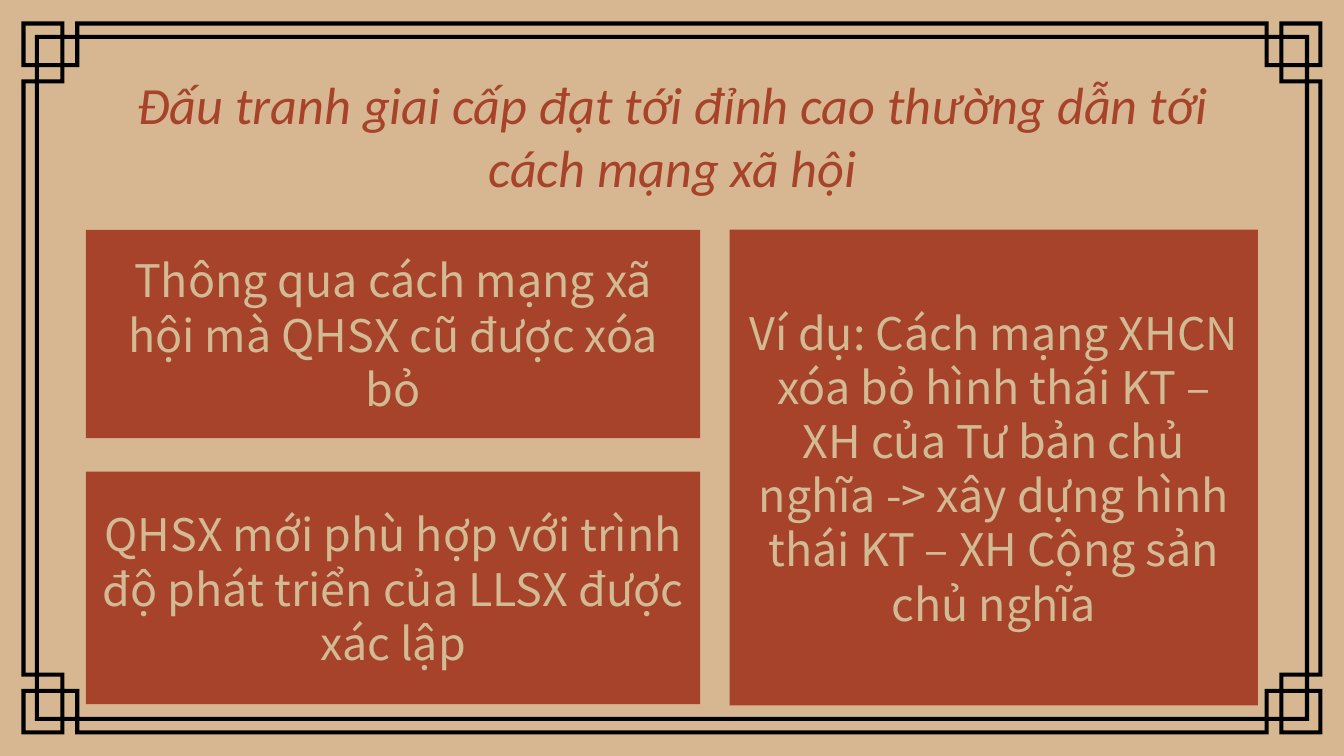
from pptx import Presentation
from pptx.dml.color import RGBColor
from pptx.enum.shapes import MSO_SHAPE
from pptx.enum.text import MSO_ANCHOR, MSO_AUTO_SIZE, PP_ALIGN
from pptx.util import Inches, Pt

SAND = RGBColor(0xD6, 0xB7, 0x91)
PALE_SAND = RGBColor(0xD2, 0xBA, 0x93)
BRICK = RGBColor(0xA8, 0x43, 0x2B)
BLACK = RGBColor(0, 0, 0)
WIDTH = 10
HEIGHT = WIDTH * 9 / 16

TITLE = "Đấu tranh giai cấp đạt tới đỉnh cao thường dẫn tới cách mạng xã hội"
# Text, left, top, width, height
CARDS = [
    ("Thông qua cách mạng xã hội mà QHSX cũ được xóa bỏ", 0.64, 1.71, 4.57, 1.55),
    ("QHSX mới phù hợp với trình độ phát triển của LLSX được xác lập",
     0.64, 3.51, 4.57, 1.73),
    ("Ví dụ: Cách mạng XHCN xóa bỏ hình thái KT – XH của Tư bản chủ nghĩa -> "
     "xây dựng hình thái KT – XH Cộng sản chủ nghĩa", 5.43, 1.71, 3.93, 3.54),
]

# The frame is symmetric, so only its top left corner is listed
OUTER_CORNER = [(0.16, 0.59), (0.26, 0.59), (0.26, 0.5), (0.16, 0.5), (0.16, 0.16),
                (0.48, 0.16), (0.48, 0.26), (0.56, 0.26), (0.56, 0.16)]
INNER_CORNER = [(0.29, 0.62), (0.48, 0.62), (0.48, 0.5), (0.59, 0.5), (0.59, 0.29)]
BRACKET = [(0.45, 0.19), (0.45, 0.26), (0.26, 0.26), (0.26, 0.47), (0.19, 0.47), (0.19, 0.19)]
CORNER_BOXES = [(0.29, 0.29, 0.45, 0.47), (0.48, 0.29, 0.56, 0.47), (0.29, 0.5, 0.45, 0.59)]
TOP_GAP = (0.59, 0.19, WIDTH - 0.59, 0.26)
LEFT_GAP = (0.19, 0.62, 0.26, HEIGHT - 0.62)


def flip_x(points):
    return [(WIDTH - x, y) for x, y in points]


def flip_y(points):
    return [(x, HEIGHT - y) for x, y in points]


def box(left, top, right, bottom):
    return [(left, top), (right, top), (right, bottom), (left, bottom)]


def ring(corner):
    """Join a corner and its three mirror images into one closed outline."""
    return (corner + flip_x(corner)[::-1] + flip_x(flip_y(corner))
            + flip_y(corner)[::-1])


def frame_contours():
    contours = [ring(OUTER_CORNER), ring(INNER_CORNER)]
    for hole in [BRACKET] + [box(*edges) for edges in CORNER_BOXES]:
        contours += [hole, flip_x(hole), flip_y(hole), flip_x(flip_y(hole))]
    top, left = box(*TOP_GAP), box(*LEFT_GAP)
    return contours + [top, flip_y(top), left, flip_x(left)]


def add_frame(slide):
    contours = [[(Inches(x), Inches(y)) for x, y in points] for points in frame_contours()]
    builder = slide.shapes.build_freeform(*contours[0][0])
    builder.add_line_segments(contours[0][1:], close=True)
    for start, *rest in contours[1:]:
        builder.move_to(*start)
        builder.add_line_segments(rest, close=True)
    frame = builder.convert_to_shape()
    frame.shadow.inherit = False
    frame.fill.solid()
    frame.fill.fore_color.rgb = BLACK
    frame.line.fill.background()


def place(shape, left, top, width, height):
    shape.left, shape.top = Inches(left), Inches(top)
    shape.width, shape.height = Inches(width), Inches(height)


def write(shape, text, font_name, size, color, side_margin):
    frame = shape.text_frame
    frame.text = text
    frame.word_wrap = True
    frame.auto_size = MSO_AUTO_SIZE.NONE
    frame.vertical_anchor = MSO_ANCHOR.MIDDLE
    frame.margin_left = frame.margin_right = Inches(side_margin)
    frame.margin_top = frame.margin_bottom = Inches(0.1)
    paragraph = frame.paragraphs[0]
    paragraph.alignment = PP_ALIGN.CENTER
    paragraph.font.name = font_name
    paragraph.font.size = Pt(size)
    paragraph.font.color.rgb = color
    return paragraph


def main():
    prs = Presentation()
    prs.slide_width, prs.slide_height = Inches(WIDTH), Inches(HEIGHT)
    slide = prs.slides.add_slide(prs.slide_layouts[5])
    slide.background.fill.solid()
    slide.background.fill.fore_color.rgb = SAND

    add_frame(slide)

    title = slide.shapes.title
    place(title, 0.92, 0.77, 8.17, 0.47)
    write(title, TITLE, "Calibri", 28, BRICK, 0.1).font.italic = True

    for text, *bounds in CARDS:
        card = slide.shapes.add_shape(MSO_SHAPE.RECTANGLE, *map(Inches, bounds))
        card.shadow.inherit = False
        card.fill.solid()
        card.fill.fore_color.rgb = BRICK
        card.line.fill.background()
        body = write(card, text, "Noto Sans CJK JP", 24, PALE_SAND, 0.11)
        body.line_spacing = Pt(29)

    prs.save("out.pptx")


if __name__ == "__main__":
    main()
